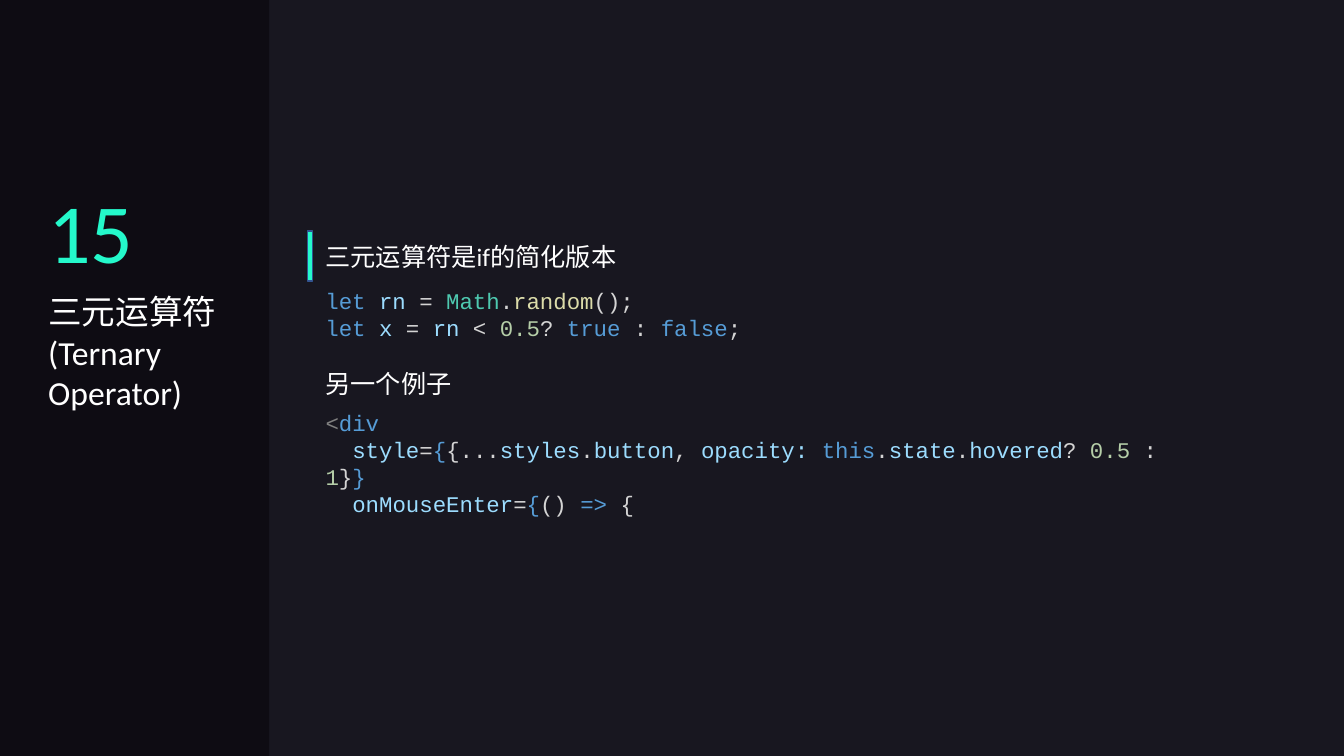
from pptx import Presentation
from pptx.dml.color import RGBColor
from pptx.enum.shapes import MSO_SHAPE as Shape
from pptx.enum.text import MSO_AUTO_SIZE as AutoSize
from pptx.util import Inches, Pt

BACKGROUND = RGBColor(0x18, 0x17, 0x20)
PANEL = RGBColor(0x0E, 0x0C, 0x13)
ACCENT = RGBColor(0x24, 0xF9, 0xCB)
BAR_EDGE = RGBColor(0x32, 0x54, 0x91)
WHITE = RGBColor(0xFF, 0xFF, 0xFF)
KEYWORD = RGBColor(0x56, 0x9C, 0xD6)
NAME = RGBColor(0x9C, 0xDC, 0xFE)
PLAIN = RGBColor(0xD4, 0xD4, 0xD4)
CLASS = RGBColor(0x4E, 0xC9, 0xB0)
METHOD = RGBColor(0xDC, 0xDC, 0xAA)
NUMBER = RGBColor(0xB5, 0xCE, 0xA8)
TAG = RGBColor(0x80, 0x80, 0x80)

# Headings: text, size, colour, (left, top, width, height), wrap
HEADINGS = [
    ("15", 60, ACCENT, (0.38, 1.73, 1.05, 1.11), False),
    ("三元运算符(Ternary Operator)", 24, WHITE, (0.38, 2.84, 1.88, 1.31), True),
    ("三元运算符是if的简化版本", 18, WHITE, (3.13, 2.34, 5.22, 0.4), True),
    ("另一个例子", 18, WHITE, (3.13, 3.61, 5.22, 0.4), True),
]

# Code lines: indent in characters, then coloured tokens
RANDOM_CODE = [
    (0, [("let ", KEYWORD), ("rn", NAME), (" = ", PLAIN), ("Math", CLASS),
         (".", PLAIN), ("random", METHOD), ("();", PLAIN)]),
    (0, [("let ", KEYWORD), ("x", NAME), (" = ", PLAIN), ("rn", NAME),
         (" < ", PLAIN), ("0.5", NUMBER), ("? ", PLAIN), ("true", KEYWORD),
         (" : ", PLAIN), ("false", KEYWORD), (";", PLAIN)]),
]
BUTTON_CODE = [
    (0, [("<", TAG), ("div", KEYWORD)]),
    (2, [("style", NAME), ("=", PLAIN), ("{", KEYWORD), ("{...", PLAIN),
         ("styles", NAME), (".", PLAIN), ("button", NAME), (", ", PLAIN),
         ("opacity: ", NAME), ("this", KEYWORD), (".", PLAIN),
         ("state", NAME), (".", PLAIN), ("hovered", NAME), ("? ", PLAIN),
         ("0.5", NUMBER), (" : ", PLAIN), ("1", NUMBER), ("}", PLAIN),
         ("}", KEYWORD)]),
    (2, [("onMouseEnter", NAME), ("=", PLAIN), ("{", KEYWORD), ("() ", PLAIN),
         ("=>", KEYWORD), (" {", PLAIN)]),
]
CODE_BLOCKS = [
    (RANDOM_CODE, (3.13, 2.8, 6.67, 0.64)),
    (BUTTON_CODE, (3.13, 4.01, 8.52, 0.91)),
]
CODE_SIZE = 16
CHARACTER_WIDTH = 0.6  # share of the size in Courier New


def add_bar(page, area, color):
    """Add a flat rectangle without an outline."""
    bar = page.shapes.add_shape(Shape.RECTANGLE, *map(Inches, area))
    bar.shadow.inherit = False
    bar.fill.solid()
    bar.fill.fore_color.rgb = color
    bar.line.fill.background()
    return bar


def add_text(page, lines, area, font, size, wrap=True):
    """Add a text box with one paragraph per line of coloured tokens."""
    box = page.shapes.add_textbox(*map(Inches, area))
    frame = box.text_frame
    frame.word_wrap = wrap
    frame.auto_size = AutoSize.SHAPE_TO_FIT_TEXT
    for number, (indent, tokens) in enumerate(lines):
        para = frame.add_paragraph() if number else frame.paragraphs[0]
        if indent:
            first_line = Pt(indent * size * CHARACTER_WIDTH)
            properties = para._p.get_or_add_pPr()
            properties.set("marL", "0")
            properties.set("indent", str(first_line))
        for text, color in tokens:
            span = para.add_run()
            span.text = text
            span.font.name = font
            span.font.size = Pt(size)
            span.font.color.rgb = color


deck = Presentation()
deck.slide_width, deck.slide_height = Inches(13.33), Inches(7.5)
page = deck.slides.add_slide(deck.slide_layouts[6])
page.background.fill.solid()
page.background.fill.fore_color.rgb = BACKGROUND

add_bar(page, (0, 0, 2.67, 7.5), PANEL)
marker = add_bar(page, (3.05, 2.29, 0.05, 0.5), ACCENT)
marker.line.color.rgb = BAR_EDGE
marker.line.width = Pt(1)

for text, size, color, area, wrap in HEADINGS:
    add_text(page, [(0, [(text, color)])], area, "Calibri", size, wrap)
for lines, area in CODE_BLOCKS:
    add_text(page, lines, area, "Courier New", CODE_SIZE)

deck.save("out.pptx")
